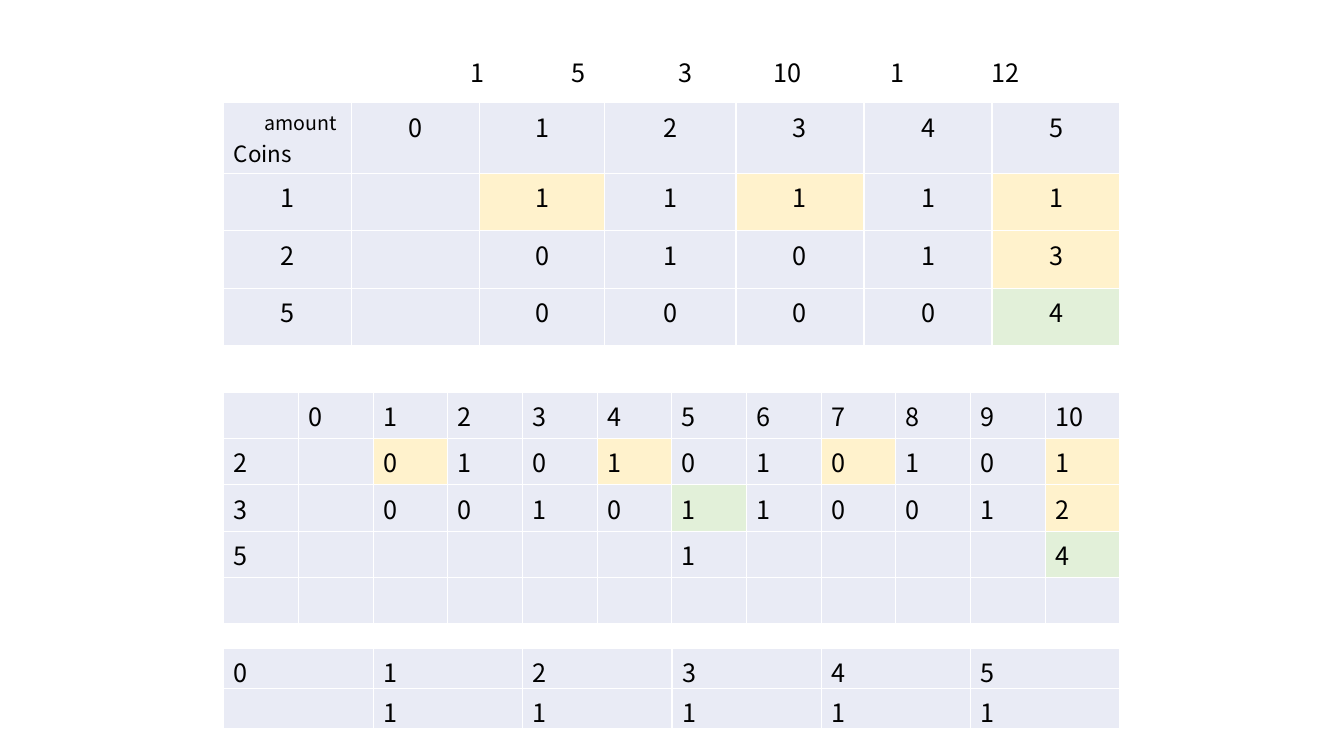
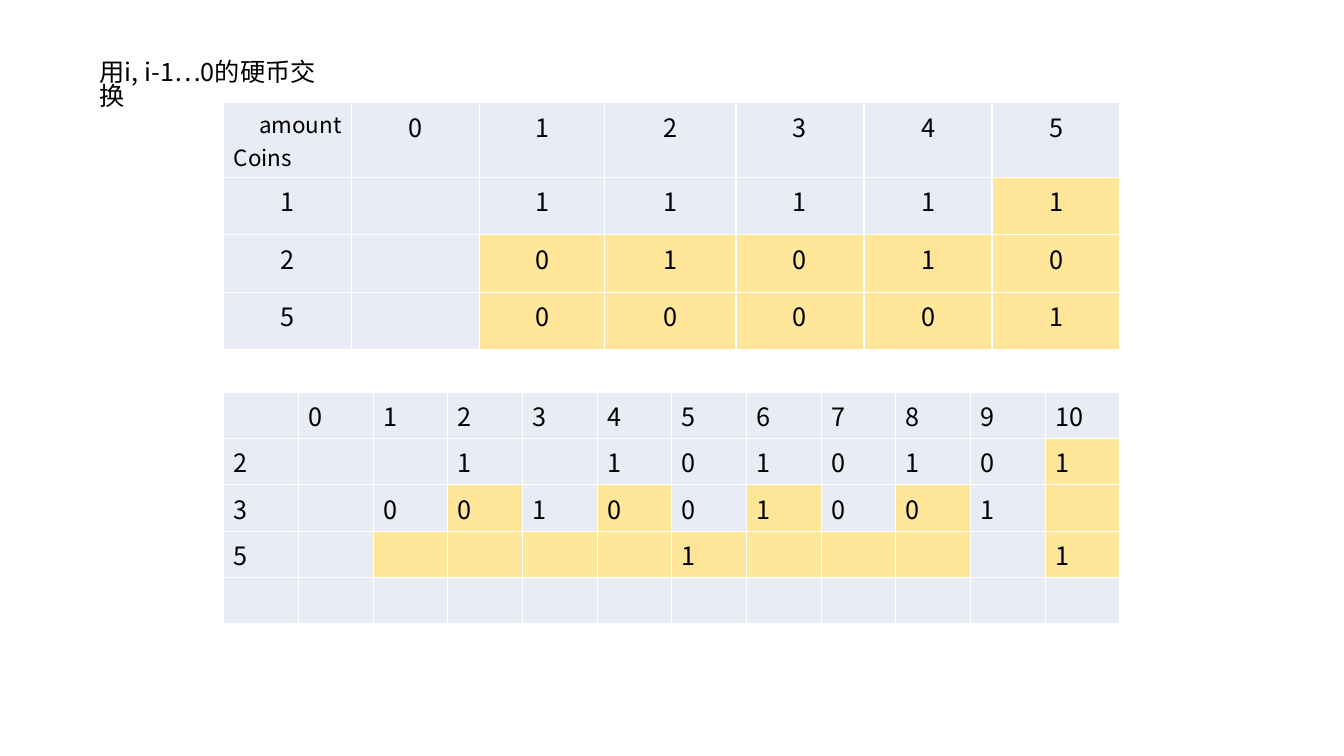
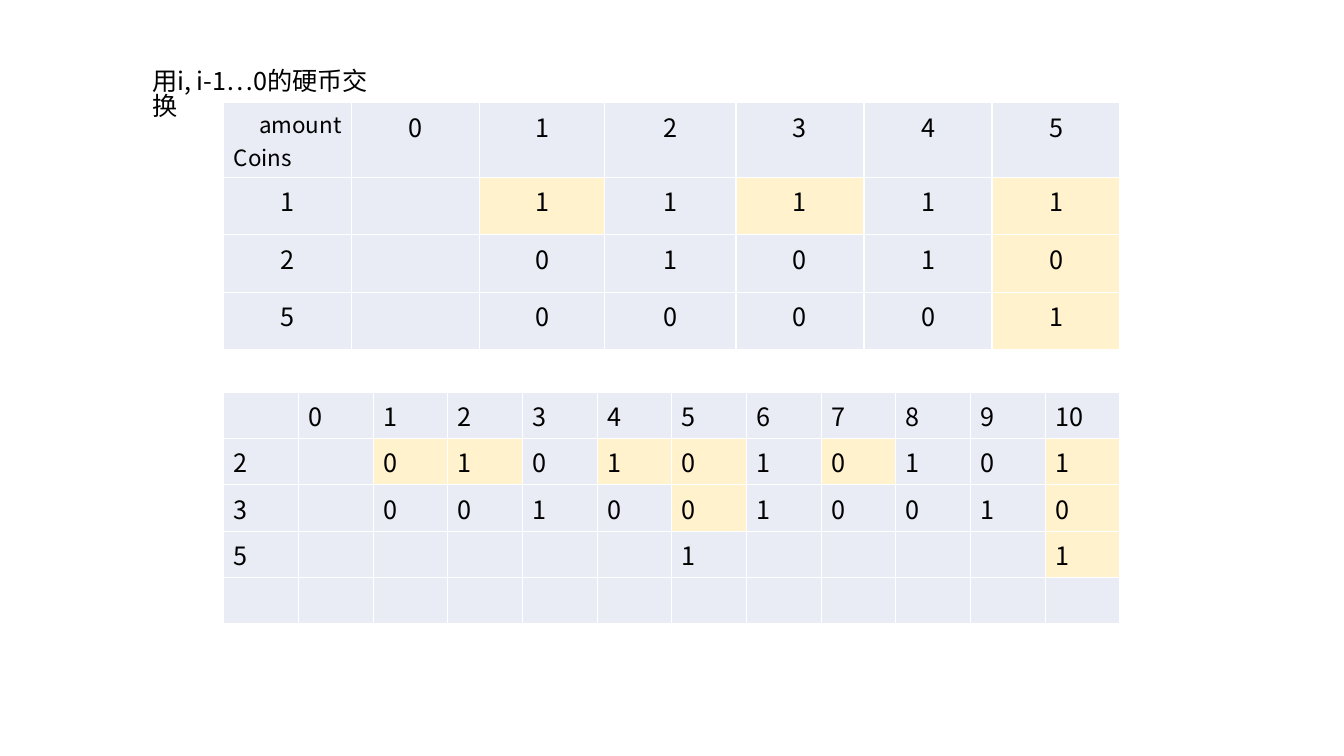
from pptx import Presentation
from pptx.dml.color import RGBColor as RGB
from pptx.enum.text import PP_ALIGN as AL
from pptx.oxml.ns import qn
from pptx.util import Inches as I, Pt
from lxml.etree import SubElement as Sub

FONT = "Noto Sans CJK SC"
COLORS = {"base": "E9EBF5", "cream": "FFF2CC", "amber": "FFE699",
          "green": "E2F0D9", "text": "000000"}
# A cell is its value and an optional mark; "." is an empty value
MARKS = {"c": "cream", "a": "amber", "g": "green"}

LEFT, WIDTH = 2.22, 8.89
COIN_COLS = [1.27, 1.27, 1.24, 1.3, 1.27, 1.27, 1.27]
COIN_TOP, COIN_ROW = 1.02, 0.57
SUM_TOP, SUM_ROW = 3.89, 0.46
LAST_TOP, LAST_ROW = 6.43, 0.4

CAPTION = "用i, i-1…0的硬币交换"
COIN_HEAD = ". 0 1 2 3 4 5"
SUM_HEAD = ". 0 1 2 3 4 5 6 7 8 9 10"
SUM_END = ". . . . . . . . . . . ."

SLIDES = [
    {"numbers": ["1", "5", "3", "10", "1", "12"],
     "corner": {"size": 14, "indent": 0.3, "height": 0.7},
     "coins": [COIN_HEAD, "1 . 1c 1 1c 1 1c", "2 . 0 1 0 1 3c",
               "5 . 0 0 0 0 4g"],
     "sums": [SUM_HEAD, "2 . 0c 1 0 1c 0 1 0c 1 0 1c",
              "3 . 0 0 1 0 1g 1 0 0 1 2c", "5 . . . . . 1 . . . . 4g",
              SUM_END],
     "last": ["0 1 2 3 4 5", ". 1 1 1 1 1"]},
    {"caption_at": (0.89, 0.57),
     "corner": {"size": 16, "indent": 0.25, "height": 0.74},
     "coins": [COIN_HEAD, "1 . 1 1 1 1 1a", "2 . 0a 1a 0a 1a 0a",
               "5 . 0a 0a 0a 0a 1a"],
     "sums": [SUM_HEAD, "2 . . 1 . 1 0 1 0 1 0 1a",
              "3 . 0 0a 1 0a 0 1a 0 0a 1 .a",
              "5 . .a .a .a .a 1a .a .a .a . 1a", SUM_END]},
    {"caption_at": (1.41, 0.66),
     "corner": {"size": 16, "indent": 0.25, "height": 0.74},
     "coins": [COIN_HEAD, "1 . 1c 1 1c 1 1c", "2 . 0 1 0 1 0c",
               "5 . 0 0 0 0 1c"],
     "sums": [SUM_HEAD, "2 . 0c 1c 0 1c 0c 1 0c 1 0 1c",
              "3 . 0 0 1 0 0c 1 0 0 1 0c", "5 . . . . . 1 . . . . 1c",
              SUM_END]},
]
NUMBER_STOPS = [1, 2.06, 3, 4.16, 5.17]


def write(p, text, size=18, align=None):
    p.alignment = align
    r = p.add_run()
    r.text = text
    for name, value in {"name": FONT, "size": Pt(size)}.items():
        setattr(r.font, name, value)
    r.font.color.rgb = RGB.from_string(COLORS["text"])
    Sub(r.font._element, qn("a:ea"), typeface=FONT)


def add_text(slide, left, top, width, height, text):
    tf = slide.shapes.add_textbox(I(left), I(top), I(width), I(height)).text_frame
    tf.word_wrap = True
    p = tf.paragraphs[0]
    write(p, text)
    return p


def add_grid(slide, rows, top, heights, widths, align=None):
    cells = [row.split() for row in rows]
    t = slide.shapes.add_table(len(rows), len(widths), I(LEFT), I(top),
                               I(sum(widths)), I(sum(heights))).table
    t.first_row = t.horz_banding = False
    for col, width in zip(t.columns, widths):
        col.width = I(width)
    for row, height, values in zip(t.rows, heights, cells):
        row.height = I(height)
        for cell, value in zip(row.cells, values):
            text = value.rstrip("cag")
            cell.margin_bottom = 0
            cell.fill.solid()
            color = COLORS[MARKS.get(value[len(text):], "base")]
            cell.fill.fore_color.rgb = RGB.from_string(color)
            if text != ".":
                write(cell.text_frame.paragraphs[0], text, align=align)
    return t


def add_corner(cell, size, indent):
    # Axis names: the upper one is indented
    p = cell.text_frame.paragraphs[0]
    write(p, "amount", size)
    p._p.get_or_add_pPr().set("marL", str(I(indent)))
    write(cell.text_frame.add_paragraph(), "Coins", 16)


def main():
    prs = Presentation()
    prs.slide_width, prs.slide_height = I(13.33), I(7.5)
    for data in SLIDES:
        s = prs.slides.add_slide(prs.slide_layouts[6])
        # Coins against amounts
        corner = data["corner"]
        heights = [corner["height"]] + [COIN_ROW] * 3
        t = add_grid(s, data["coins"], COIN_TOP, heights, COIN_COLS, AL.CENTER)
        add_corner(t.cell(0, 0), corner["size"], corner["indent"])
        # Larger amounts
        add_grid(s, data["sums"], SUM_TOP, [SUM_ROW] * 5, [WIDTH / 12] * 12)
        # Row of numbers on tab stops
        if "numbers" in data:
            p = add_text(s, 4.57, 0.52, 5.9, 0.46, "\t".join(data["numbers"]))
            stops = Sub(p._p.get_or_add_pPr(), qn("a:tabLst"))
            for stop in NUMBER_STOPS:
                Sub(stops, qn("a:tab"), pos=str(I(stop)), algn="l")
        # Caption on two lines
        if "caption_at" in data:
            p = add_text(s, *data["caption_at"], 2.52, 0.68, CAPTION)
            p.line_spacing = 0.8
        # Closing table
        if "last" in data:
            add_grid(s, data["last"], LAST_TOP, [LAST_ROW] * 2, [WIDTH / 6] * 6)
    prs.save("out.pptx")


if __name__ == "__main__":
    main()
